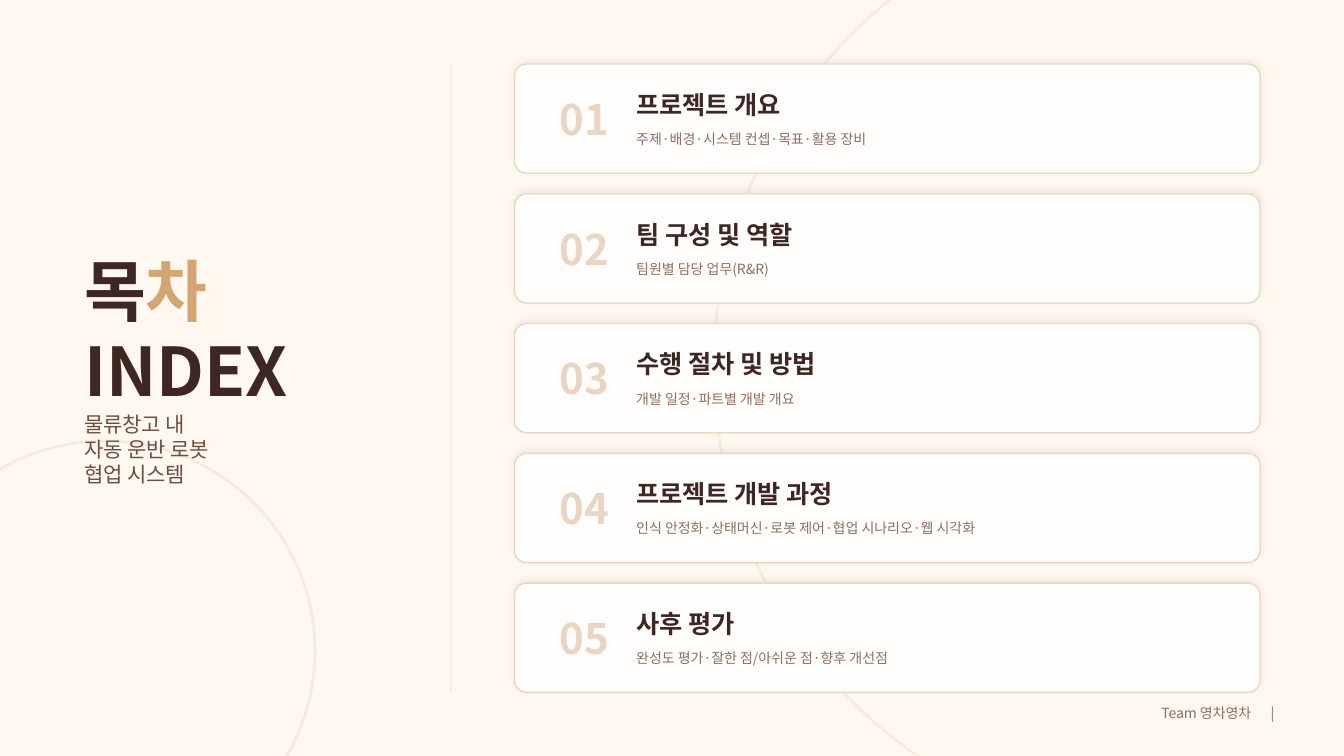
from dataclasses import dataclass

from lxml.etree import SubElement
from pptx import Presentation
from pptx.dml.color import RGBColor
from pptx.enum.shapes import MSO_SHAPE
from pptx.enum.text import MSO_ANCHOR, MSO_AUTO_SIZE, PP_ALIGN
from pptx.oxml.ns import qn
from pptx.util import Inches, Pt


@dataclass(frozen=True)
class Theme:
    font: str = "Noto Sans CJK KR"
    page: str = "FFF8F0"
    ink: str = "3E2723"
    accent: str = "D4A574"
    subtitle: str = "6D4C41"
    muted: str = "8D6E63"
    ring: str = "8B7355"
    card: str = "FEFDFB"
    sand: str = "E8D5C4"
    title_size: int = 48
    number_size: int = 30
    heading_size: int = 18
    subtitle_size: int = 15
    detail_size: int = 10


THEME = Theme()
SLIDE_WIDTH, SLIDE_HEIGHT = Inches(13.333), Inches(7.5)
COLUMNS, ROWS = 128, 72
CARD_LEFT, CARD_TOP, CARD_WIDTH, CARD_HEIGHT = 49, 6.1, 71, 10.4
CARD_PITCH = 12.36
LABEL_LEFT = 60.6

CHAPTERS = [
    ("프로젝트 개요", "주제·배경·시스템 컨셉·목표·활용 장비"),
    ("팀 구성 및 역할", "팀원별 담당 업무(R&R)"),
    ("수행 절차 및 방법", "개발 일정·파트별 개발 개요"),
    ("프로젝트 개발 과정", "인식 안정화·상태머신·로봇 제어·협업 시나리오·웹 시각화"),
    ("사후 평가", "완성도 평가·잘한 점/아쉬운 점·향후 개선점"),
]


def grid(left, top, width, height):
    column, row = SLIDE_WIDTH / COLUMNS, SLIDE_HEIGHT / ROWS
    return [round(v) for v in (left * column, top * row, width * column, height * row)]


def rgb(color):
    return RGBColor.from_string(color)


def set_alpha(fill, percent):
    color = fill._xPr.find(qn("a:solidFill"))[0]
    SubElement(color, qn("a:alpha"), val=str(percent * 1000))


def write(frame, paragraphs, size, color, bold=False, align=PP_ALIGN.LEFT,
          anchor=MSO_ANCHOR.MIDDLE, spacing=None):
    frame.word_wrap = True
    frame.auto_size = MSO_AUTO_SIZE.NONE
    frame.vertical_anchor = anchor
    frame.margin_left = frame.margin_right = frame.margin_top = frame.margin_bottom = 0
    for index, pieces in enumerate(paragraphs):
        paragraph = frame.add_paragraph() if index else frame.paragraphs[0]
        paragraph.alignment = align
        paragraph.space_before = Pt(0)
        if spacing:
            paragraph.line_spacing = Pt(size * spacing)
        for words, tint in pieces:
            run = paragraph.add_run()
            run.text = words
            run.font.size = Pt(size)
            run.font.bold = bold
            run.font.color.rgb = rgb(tint or color)
            run.font.name = THEME.font
            SubElement(run.font._element, qn("a:ea"), typeface=THEME.font)


def add_text(slide, area, *lines, **style):
    frame = slide.shapes.add_textbox(*grid(*area)).text_frame
    write(frame, [[(line, None)] for line in lines], **style)


def add_figure(slide, kind, area, fill=None, line=None, line_width=1, fill_alpha=100, line_alpha=100):
    figure = slide.shapes.add_shape(kind, *grid(*area))
    figure.shadow.inherit = False
    if fill:
        figure.fill.solid()
        figure.fill.fore_color.rgb = rgb(fill)
        set_alpha(figure.fill, fill_alpha)
    else:
        figure.fill.background()
    if line:
        figure.line.width = Pt(line_width)
        figure.line.color.rgb = rgb(line)
        set_alpha(figure.line.fill, line_alpha)
    else:
        figure.line.fill.background()
    return figure


def add_soft_shadow(figure):
    effects = figure._element.spPr.find(qn("a:effectLst"))
    shadow = SubElement(effects, qn("a:outerShdw"), blurRad=str(Pt(5)), dist=str(Pt(3)),
                        dir=str(270 * 60000), algn="ctr", rotWithShape="0")
    color = SubElement(shadow, qn("a:srgbClr"), val=THEME.ink)
    SubElement(color, qn("a:alpha"), val="5000")


def add_title(slide):
    title = slide.shapes.title
    title.left, title.top, title.width, title.height = grid(8, 23.7, 32.2, 12.8)
    write(title.text_frame, [[("목", None), ("차", THEME.accent)], [("INDEX", None)]],
          size=THEME.title_size, color=THEME.ink, bold=True, anchor=MSO_ANCHOR.TOP, spacing=1.2)


def add_chapter(slide, index, heading, detail):
    top = CARD_TOP + index * CARD_PITCH
    card = add_figure(slide, MSO_SHAPE.ROUNDED_RECTANGLE,
                      (CARD_LEFT, top, CARD_WIDTH, CARD_HEIGHT),
                      fill=THEME.card, line=THEME.sand)
    card.adjustments[0] = 0.11
    add_soft_shadow(card)
    add_text(slide, (51.25, top + 2.2, 6.8, 6), f"{index + 1:02}",
             size=THEME.number_size, color=THEME.sand, bold=True, align=PP_ALIGN.RIGHT)
    add_text(slide, (LABEL_LEFT, top + 2.05, 38, 3.55), heading,
             size=THEME.heading_size, color=THEME.ink, bold=True)
    add_text(slide, (LABEL_LEFT, top + 6.03, 42, 2.2), detail,
             size=THEME.detail_size, color=THEME.muted)


def main():
    deck = Presentation()
    deck.slide_width, deck.slide_height = SLIDE_WIDTH, SLIDE_HEIGHT
    slide = deck.slides.add_slide(deck.slide_layouts[5])
    slide.background.fill.solid()
    slide.background.fill.fore_color.rgb = rgb(THEME.page)

    add_figure(slide, MSO_SHAPE.OVAL, (68, -10, 90, 90),
               line=THEME.accent, line_width=2, line_alpha=15)
    add_figure(slide, MSO_SHAPE.OVAL, (-10, 42, 40, 40),
               line=THEME.ring, line_width=2, line_alpha=10)
    add_figure(slide, MSO_SHAPE.RECTANGLE, (42.9, 6, 0.1, 60), fill=THEME.ink, fill_alpha=10)

    add_title(slide)
    add_text(slide, (8, 39.2, 31.7, 9.6), "물류창고 내", "자동 운반 로봇", "협업 시스템",
             size=THEME.subtitle_size, color=THEME.subtitle, anchor=MSO_ANCHOR.TOP, spacing=1.2)
    for index, (heading, detail) in enumerate(CHAPTERS):
        add_chapter(slide, index, heading, detail)
    add_text(slide, (110.6, 66.8, 10.3, 2.2), "Team 영차영차",
             size=THEME.detail_size, color=THEME.muted)
    add_text(slide, (121, 66.8, 1.2, 2.2), "|", size=THEME.detail_size, color=THEME.muted)
    deck.save("out.pptx")


if __name__ == "__main__":
    main()
